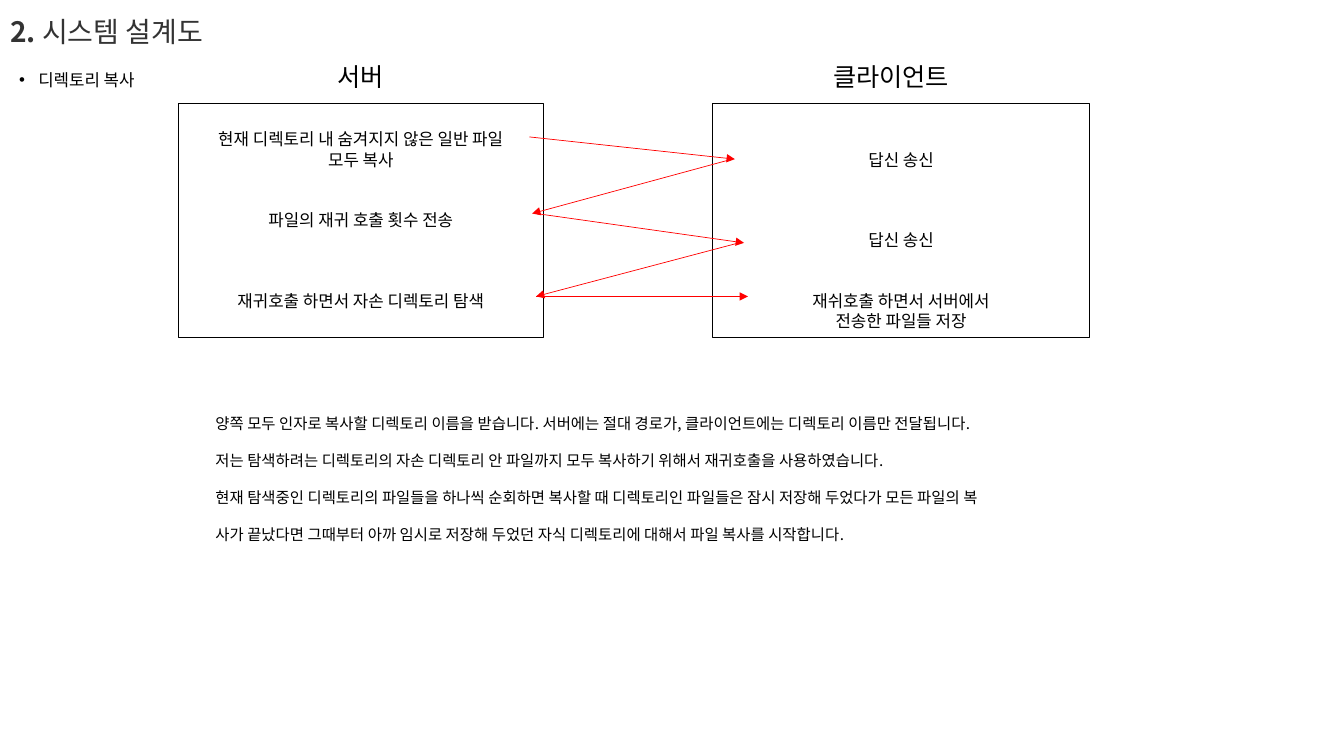
import lxml.etree
import pptx
import pptx.dml.color
import pptx.enum.shapes
import pptx.enum.text
import pptx.oxml.ns
import pptx.util
from pptx.util import Cm

FONT = "Noto Sans CJK KR"
BLACK, GREY, RED = "000000", "333333", "FF0000"
LINE_HEIGHT = 1.2
ALIGN = pptx.enum.text.PP_ALIGN
ANCHOR = pptx.enum.text.MSO_ANCHOR

HEADING_TOP, BOX_TOP, BOX_HEIGHT = 1.42, 2.62, 5.89
# Each side: heading, heading left, box left, box width, (empty lines above, text)
SIDES = [
    ("서버", 6.32, 4.5, 9.19, [
        (1, "현재 디렉토리 내 숨겨지지 않은 일반 파일"),
        (0, "모두 복사"),
        (2, "파일의 재귀 호출 횟수 전송"),
        (3, "재귀호출 하면서 자손 디렉토리 탐색"),
    ]),
    ("클라이언트", 19.69, 17.96, 9.5, [
        (2, "답신 송신"),
        (3, "답신 송신"),
        (2, "재쉬호출 하면서 서버에서"),
        (0, "전송한 파일들 저장"),
    ]),
]
MESSAGES = [
    (13.34, 3.45, 18.52, 4.01),
    (18.34, 4.04, 13.41, 5.38),
    (13.51, 7.47, 18.85, 7.47),
    (13.51, 5.38, 18.75, 6.12),
    (18.62, 6.12, 13.51, 7.47),
]
DESCRIPTION = [
    "양쪽 모두 인자로 복사할 디렉토리 이름을 받습니다. 서버에는 절대 경로가, 클라이언트에는 디렉토리 이름만 전달됩니다.",
    "저는 탐색하려는 디렉토리의 자손 디렉토리 안 파일까지 모두 복사하기 위해서 재귀호출을 사용하였습니다.",
    "현재 탐색중인 디렉토리의 파일들을 하나씩 순회하면 복사할 때 디렉토리인 파일들은 잠시 저장해 두었다가 모든 파일의 복",
    "사가 끝났다면 그때부터 아까 임시로 저장해 두었던 자식 디렉토리에 대해서 파일 복사를 시작합니다.",
]


def color(value):
    return pptx.dml.color.RGBColor.from_string(value)


def add_element(parent, tag, **attributes):
    return lxml.etree.SubElement(parent, pptx.oxml.ns.qn(tag), **attributes)


def place(shape, left, top, width, height):
    shape.left, shape.top = Cm(left), Cm(top)
    shape.width, shape.height = Cm(width), Cm(height)


def prepare_frame(shape, anchor=ANCHOR.TOP):
    frame = shape.text_frame
    frame.word_wrap = True
    frame.auto_size = pptx.enum.text.MSO_AUTO_SIZE.NONE
    frame.vertical_anchor = anchor
    return frame


def add_run(paragraph, text, size, value=BLACK, bold=False):
    run = paragraph.add_run()
    run.text = text
    run.font.size = pptx.util.Pt(size)
    run.font.bold = bold
    run.font.color.rgb = color(value)
    run.font.name = FONT
    add_element(run._r.get_or_add_rPr(), "a:ea", typeface=FONT)


def write_lines(frame, lines, size, align):
    """Write (empty lines above, text) pairs at a fixed line height."""
    pitch = size * LINE_HEIGHT
    for index, (gap, text) in enumerate(lines):
        paragraph = frame.add_paragraph() if index else frame.paragraphs[0]
        paragraph.alignment = align
        paragraph.line_spacing = pptx.util.Pt(pitch)
        paragraph.space_before = pptx.util.Pt(gap * pitch if index else 0)
        if gap and not index:
            frame.margin_top += pptx.util.Pt(gap * pitch)
        add_run(paragraph, text, size)


def add_text(slide, position, lines, size, align):
    box = slide.shapes.add_textbox(*map(Cm, position))
    write_lines(prepare_frame(box), lines, size, align)


def add_box(slide, position, lines):
    box = slide.shapes.add_shape(
        pptx.enum.shapes.MSO_SHAPE.RECTANGLE, *map(Cm, position))
    box.shadow.inherit = False
    box.fill.background()
    box.line.color.rgb = color(BLACK)
    box.line.width = pptx.util.Pt(0.75)
    write_lines(prepare_frame(box), lines, 12, ALIGN.CENTER)


def add_arrow(slide, ends):
    arrow = slide.shapes.add_connector(
        pptx.enum.shapes.MSO_CONNECTOR.STRAIGHT, *map(Cm, ends))
    arrow.line.color.rgb = color(RED)
    arrow.line.width = pptx.util.Pt(0.5)
    add_element(arrow.line._get_or_add_ln(), "a:tailEnd", type="triangle")
    add_element(arrow._element.spPr, "a:effectLst")


def fill_title(title):
    place(title, 0, 0.05, 29.21, 1.57)
    paragraph = prepare_frame(title, ANCHOR.MIDDLE).paragraphs[0]
    paragraph.alignment = ALIGN.LEFT
    paragraph.line_spacing = 0.9
    add_run(paragraph, "2. ", 20, GREY, bold=True)
    add_run(paragraph, "시스템 설계도", 20, GREY)


def fill_topic(body):
    place(body, 0.23, 1.63, 4.83, 0.76)
    frame = prepare_frame(body)
    write_lines(frame, [(0, "디렉토리 복사")], 12, ALIGN.LEFT)
    properties = frame.paragraphs[0]._p.get_or_add_pPr()
    indent = Cm(0.48)
    properties.set("marL", str(indent))
    properties.set("indent", str(-indent))
    add_element(properties, "a:buFont", typeface="Arial")
    add_element(properties, "a:buChar", char="•")


def main():
    presentation = pptx.Presentation()
    presentation.slide_width, presentation.slide_height = Cm(33.87), Cm(19.05)
    slide = presentation.slides.add_slide(presentation.slide_layouts[1])
    fill_title(slide.shapes.title)
    fill_topic(slide.placeholders[1])
    for heading, heading_left, left, width, lines in SIDES:
        add_text(slide, (heading_left, HEADING_TOP, 5.54, 1.02),
                 [(0, heading)], 18, ALIGN.CENTER)
        add_box(slide, (left, BOX_TOP, width, BOX_HEIGHT), lines)
    for ends in MESSAGES:
        add_arrow(slide, ends)
    sentences = [(min(index, 1), text) for index, text in enumerate(DESCRIPTION)]
    add_text(slide, (5.18, 10.31, 22.25, 4.01), sentences, 11, ALIGN.LEFT)
    presentation.save("out.pptx")


if __name__ == "__main__":
    main()
